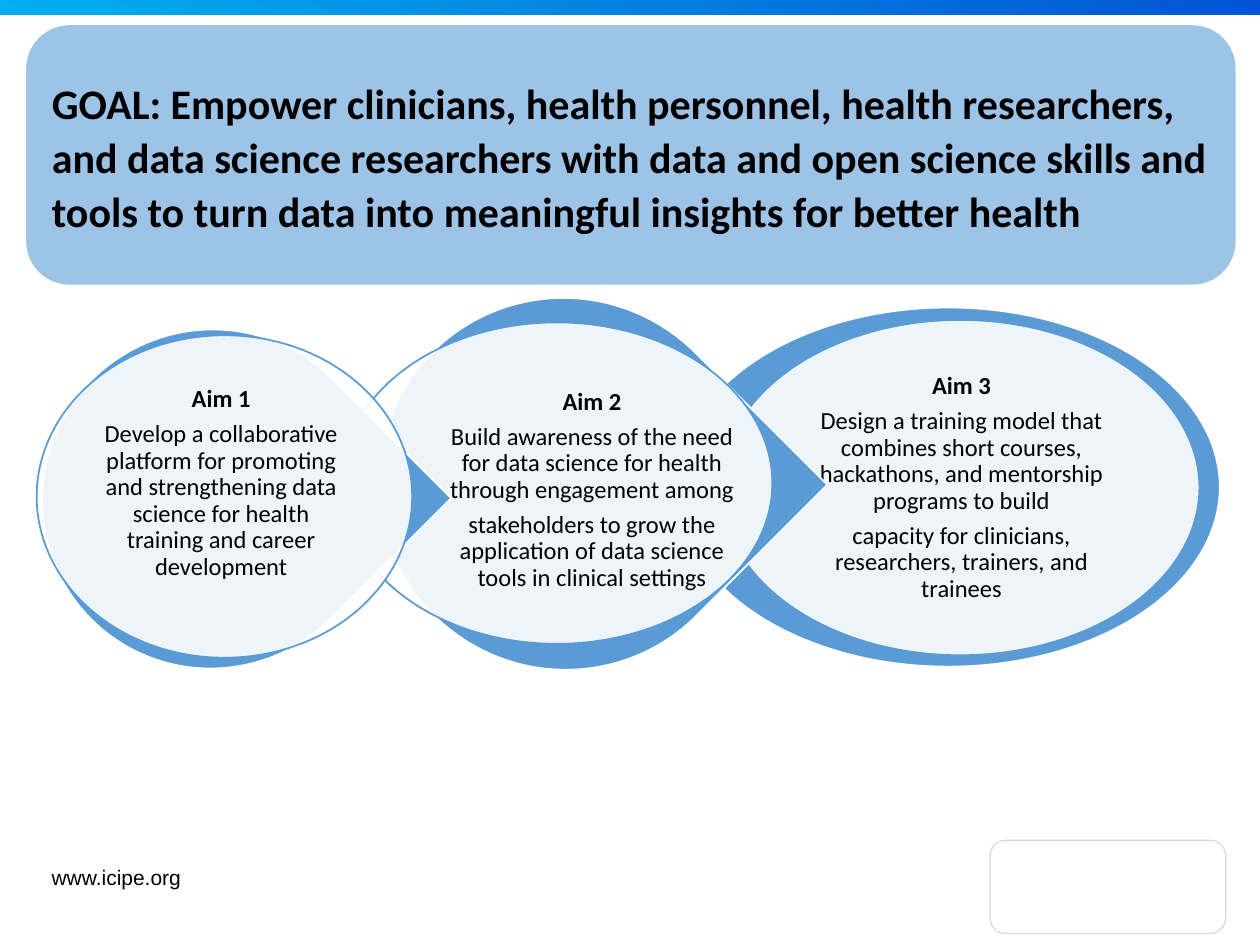
import pptx
import pptx.dml.color
import pptx.enum.shapes
import pptx.enum.text
import pptx.oxml.ns
import pptx.util
from lxml import etree

Cm, Pt = pptx.util.Cm, pptx.util.Pt
RGBColor = pptx.dml.color.RGBColor
SHAPE = pptx.enum.shapes.MSO_SHAPE
ANCHOR = pptx.enum.text.MSO_ANCHOR
ALIGN = pptx.enum.text.PP_ALIGN
AUTO_SIZE = pptx.enum.text.MSO_AUTO_SIZE

BLACK = RGBColor(0x00, 0x00, 0x00)
WHITE = RGBColor(0xFF, 0xFF, 0xFF)
DEEP_BLUE = RGBColor(0x00, 0x54, 0xD5)
CYAN = RGBColor(0x00, 0xB0, 0xF0)
PALE_BLUE = RGBColor(0x9D, 0xC3, 0xE6)
BLUE = RGBColor(0x5B, 0x9B, 0xD5)
GREY = RGBColor(0xD9, 0xD9, 0xD9)

prs = pptx.Presentation()
prs.slide_width, prs.slide_height = Cm(25.4), Cm(19.05)
slide = prs.slides.add_slide(prs.slide_layouts[5])


def add_figure(kind, box, fill, line=None, width=1):
    """Add a flat shape at box (left, top, width, height in cm)."""
    figure = slide.shapes.add_shape(kind, *map(Cm, box))
    figure.shadow.inherit = False
    figure.fill.solid()
    figure.fill.fore_color.rgb = fill
    if line is None:
        figure.line.fill.background()
    else:
        figure.line.color.rgb = line
        figure.line.width = Pt(width)
    return figure


def style_runs(paragraph, font, size, bold=False):
    for run in paragraph.runs:
        run.font.name = font
        run.font.size = Pt(size)
        run.font.bold = bold
        run.font.color.rgb = BLACK


# Header bar and footer
header_bar = add_figure(SHAPE.RECTANGLE, (0, 0, 25.4, 0.3), DEEP_BLUE)
header_bar.fill.gradient()
header_bar.fill.gradient_angle = 240
for stop, position, color in zip(header_bar.fill.gradient_stops, (0, 1), (DEEP_BLUE, CYAN)):
    stop.position = position
    stop.color.rgb = color

add_figure(SHAPE.ROUNDED_RECTANGLE, (19.96, 16.94, 4.75, 1.88), WHITE, GREY, 0)

website = slide.shapes.add_textbox(Cm(0.79), Cm(17.3), Cm(14.63), Cm(0.76)).text_frame
website.word_wrap = True
website.text = "www.icipe.org"
style_runs(website.paragraphs[0], "Arial", 12)

# Goal: the title sits in front of its rounded panel
goal_panel = add_figure(SHAPE.ROUNDED_RECTANGLE, (0.53, 0.51, 24.38, 5.23), PALE_BLUE)
goal = slide.shapes.title
goal_panel._element.addnext(goal._element)
goal.left, goal.top, goal.width, goal.height = Cm(0.79), Cm(0.51), Cm(23.88), Cm(5.23)
goal.text_frame.text = (
    "GOAL: Empower clinicians, health personnel, health researchers, and data science "
    "researchers with data and open science skills and tools to turn data into "
    "meaningful insights for better health"
)
goal.text_frame.word_wrap = True
goal.text_frame.auto_size = AUTO_SIZE.NONE
goal.text_frame.vertical_anchor = ANCHOR.MIDDLE
goal_paragraph = goal.text_frame.paragraphs[0]
goal_paragraph.alignment = ALIGN.LEFT
goal_paragraph.line_spacing = 1.07
style_runs(goal_paragraph, "Calibri", 24, True)

# Aims from back to front: backdrop kind, backdrop, oval and text boxes, paragraphs
aims = [
    (SHAPE.OVAL, (13.64, 6.2, 10.95, 7.24), (14.53, 6.45, 9.65, 6.76),
     (15.93, 7.42, 6.91, 4.83),
     ["Aim 3",
      "Design a training model that combines short courses, hackathons, and mentorship "
      "programs to build",
      "capacity for clinicians, researchers, trainers, and trainees"]),
    (SHAPE.TEAR, (7.62, 6.02, 7.52, 7.47), (6.88, 6.5, 8.69, 6.48),
     (8.76, 7.47, 6.35, 4.83),
     ["Aim 2",
      "Build awareness of the need for data science for health through engagement among",
      "stakeholders to grow the application of data science tools in clinical settings"]),
    (SHAPE.TEAR, (0.86, 6.63, 6.81, 6.86), (0.74, 6.76, 7.57, 6.5),
     (1.83, 7.49, 5.26, 4.52),
     ["Aim 1",
      "Develop a collaborative platform for promoting and strengthening data science for "
      "health training and career development"]),
]
for kind, backdrop_box, oval_box, text_box, wording in aims:
    backdrop = add_figure(kind, backdrop_box, BLUE, WHITE)
    if kind == SHAPE.TEAR:
        backdrop.rotation = 45

    oval = add_figure(SHAPE.OVAL, oval_box, WHITE, BLUE)
    oval_color = oval._element.spPr.find(pptx.oxml.ns.qn("a:solidFill"))[0]
    etree.SubElement(oval_color, pptx.oxml.ns.qn("a:alpha"), val="90000")

    aim = slide.shapes.add_textbox(*map(Cm, text_box)).text_frame
    aim.word_wrap = True
    aim.vertical_anchor = ANCHOR.MIDDLE
    aim.margin_left = aim.margin_right = aim.margin_top = aim.margin_bottom = Cm(0.05)
    aim.text = "\n".join(wording)
    for index, paragraph in enumerate(aim.paragraphs):
        paragraph.alignment = ALIGN.CENTER
        paragraph.line_spacing = 0.9
        paragraph.space_after = Pt(4.9)
        style_runs(paragraph, "Calibri", 14, index == 0)

prs.save("out.pptx")
